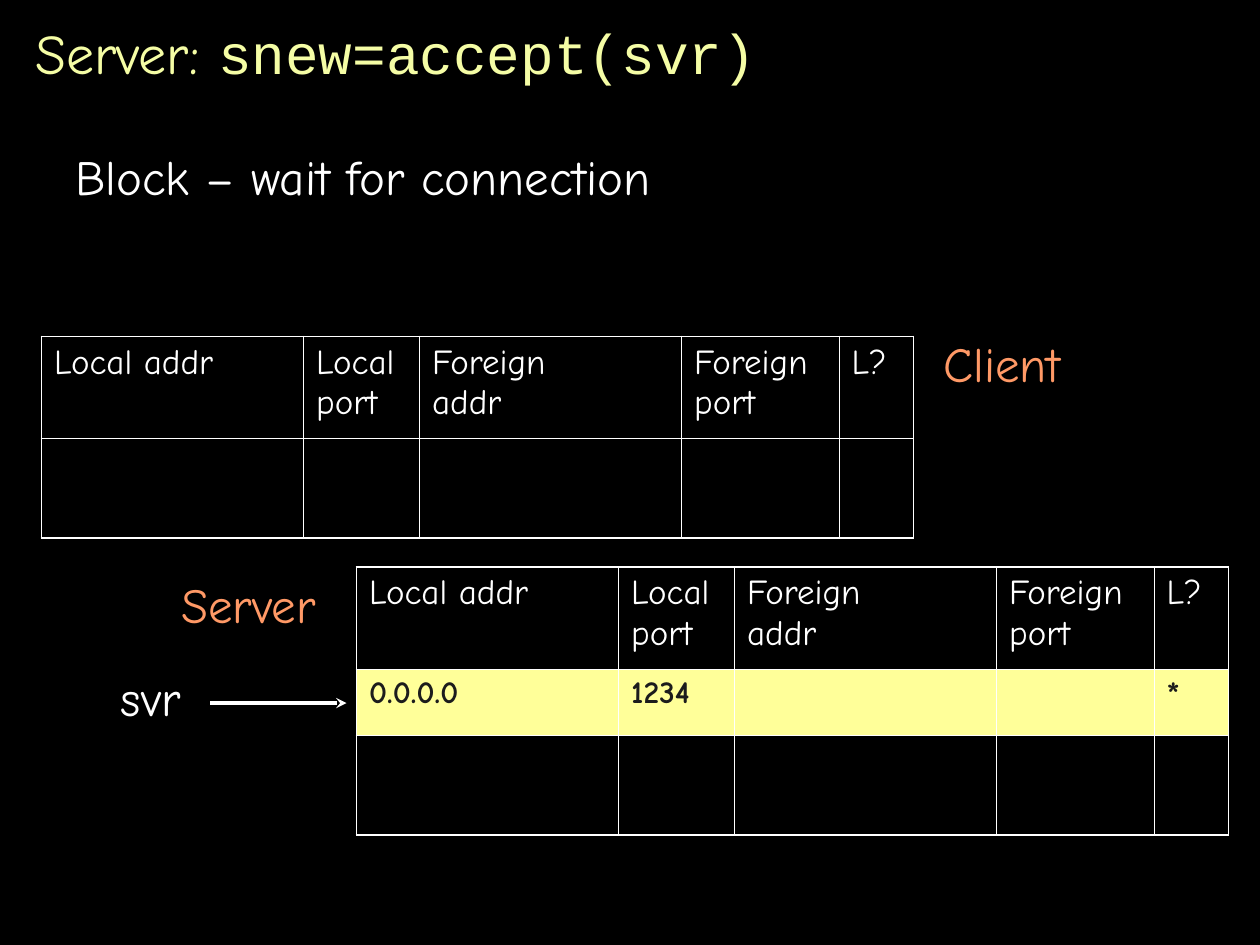
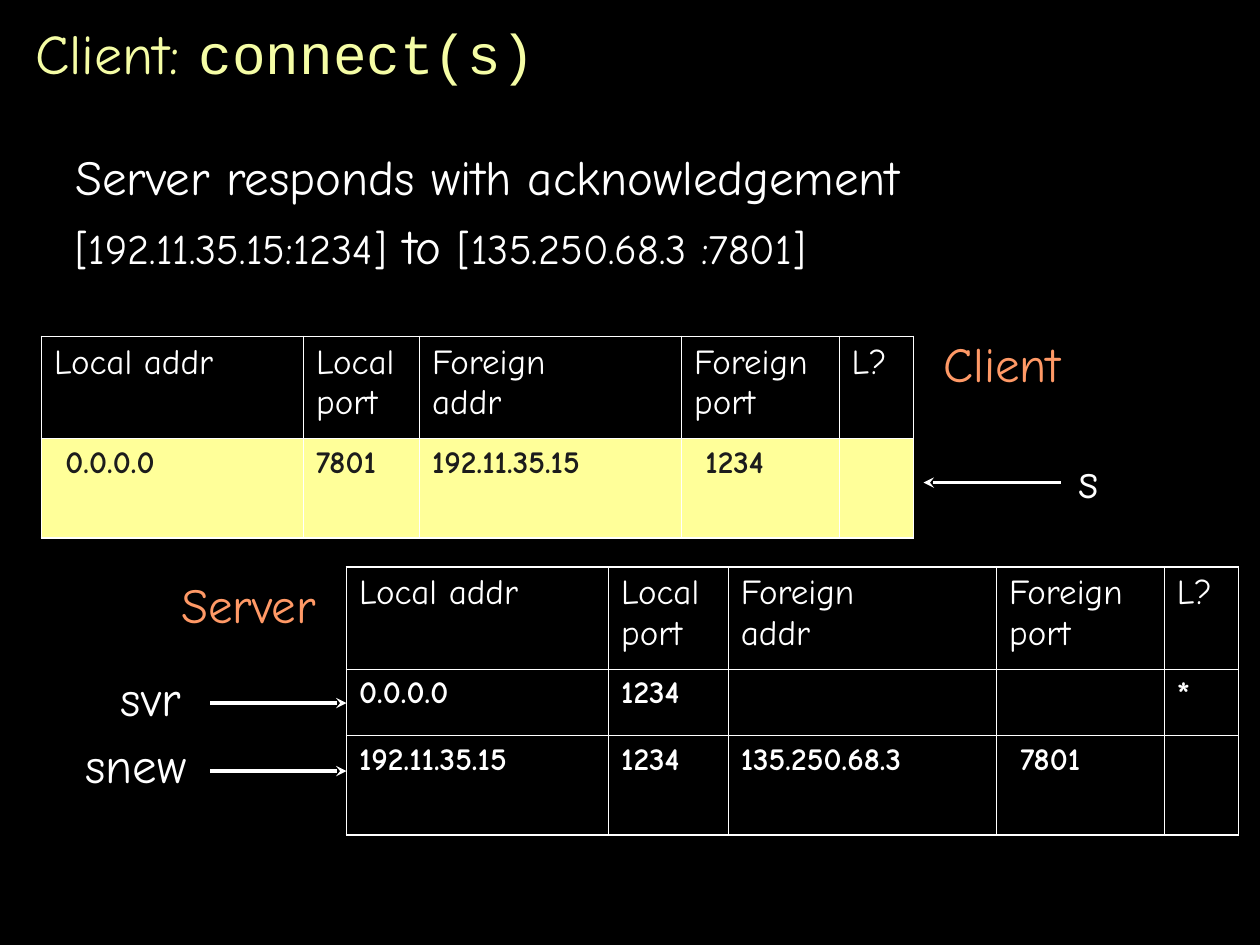
import dataclasses

import pptx
import pptx.dml.color
import pptx.enum.shapes
import pptx.enum.text
import pptx.oxml
import pptx.oxml.ns
import pptx.util
from pptx.util import Inches

TITLE_ONLY = 5


@dataclasses.dataclass(frozen=True)
class Theme:
    background: str = "000000"
    text: str = "FFFFFF"
    title: str = "F5FDA5"
    host: str = "FF9966"
    highlight: str = "FFFF99"
    dark_text: str = "1C1C1C"
    font: str = "Comic Neue"
    code_font: str = "Courier New"
    title_size: int = 32
    body_size: int = 28
    address_size: int = 24
    header_size: int = 20
    value_size: int = 18
    inner_border: float = 0.45
    outer_border: float = 1.08
    arrow_width: float = 2


HEADERS = ["Local addr", "Local\nport", "Foreign\naddr", "Foreign\nport", "L?"]
COLUMNS = [2.08, 0.92, 2.08, 1.25, 0.59]
WIDE_COLUMNS = [2.08, 0.95, 2.13, 1.33, 0.59]
HEADER_HEIGHT, LISTEN_HEIGHT, LAST_HEIGHT = 0.81, 0.53, 0.79
EMPTY_ROW = [""] * len(HEADERS)
LISTENING_ROW = ["0.0.0.0", "1234", "", "", "*"]


def rgb(color):
    return pptx.dml.color.RGBColor.from_string(color)


class SocketDeck:
    """Holds the theme, the presentation and the slide being drawn."""

    def __init__(self, theme):
        self.theme = theme
        self.presentation = pptx.Presentation()
        self.presentation.slide_width = Inches(10)
        self.presentation.slide_height = Inches(7.5)
        background = self.presentation.slide_master.background.fill
        background.solid()
        background.fore_color.rgb = rgb(theme.background)
        self.slide = None

    def add_run(self, paragraph, text, size, color=None, font=None, bold=False):
        for index, line in enumerate(text.split("\n")):
            if index:
                paragraph.add_line_break()
            run = paragraph.add_run()
            run.text = line
            run.font.size = pptx.util.Pt(size)
            run.font.name = font or self.theme.font
            run.font.bold = bold
            run.font.color.rgb = rgb(color or self.theme.text)

    def add_slide(self, side, call):
        """Start a slide whose title names the side and its socket call."""
        theme = self.theme
        layout = self.presentation.slide_layouts[TITLE_ONLY]
        self.slide = self.presentation.slides.add_slide(layout)
        title = self.slide.shapes.title
        title.left, title.top = Inches(0.18), Inches(0.08)
        title.width, title.height = Inches(9.67), Inches(0.67)
        frame = title.text_frame
        frame.auto_size = pptx.enum.text.MSO_AUTO_SIZE.NONE
        frame.vertical_anchor = pptx.enum.text.MSO_ANCHOR.MIDDLE
        paragraph = frame.paragraphs[0]
        paragraph.alignment = pptx.enum.text.PP_ALIGN.LEFT
        self.add_run(paragraph, f"{side}: ", theme.title_size, theme.title)
        self.add_run(paragraph, call, theme.title_size, theme.title, theme.code_font)

    def add_body(self, paragraphs):
        """Each paragraph is a list of (text, size) runs."""
        box = self.slide.shapes.add_textbox(
            Inches(0.5), Inches(1.11), Inches(9), Inches(1.5))
        frame = box.text_frame
        frame.word_wrap = True
        for index, runs in enumerate(paragraphs):
            paragraph = frame.add_paragraph() if index else frame.paragraphs[0]
            if index:
                paragraph.space_before = pptx.util.Pt(6)
            for text, size in runs:
                self.add_run(paragraph, text, size)

    def add_label(self, text, left, top, width, color=None, right=False):
        box = self.slide.shapes.add_textbox(
            Inches(left), Inches(top), Inches(width), Inches(0.57))
        frame = box.text_frame
        frame.word_wrap = False
        frame.auto_size = pptx.enum.text.MSO_AUTO_SIZE.SHAPE_TO_FIT_TEXT
        paragraph = frame.paragraphs[0]
        if right:
            paragraph.alignment = pptx.enum.text.PP_ALIGN.RIGHT
        self.add_run(paragraph, text, self.theme.body_size, color)

    def add_arrow(self, start, end, y):
        arrow = self.slide.shapes.add_connector(
            pptx.enum.shapes.MSO_CONNECTOR.STRAIGHT,
            Inches(start), Inches(y), Inches(end), Inches(y))
        arrow.line.color.rgb = rgb(self.theme.text)
        arrow.line.width = pptx.util.Pt(self.theme.arrow_width)
        namespace = pptx.oxml.ns.nsdecls("a")
        line = arrow.line._get_or_add_ln()
        line.append(pptx.oxml.parse_xml(f'<a:tailEnd {namespace} type="stealth"/>'))
        arrow._element.spPr.append(pptx.oxml.parse_xml(f"<a:effectLst {namespace}/>"))

    def add_borders(self, cell, outer_sides):
        properties = cell._tc.get_or_add_tcPr()
        for side in "LRTB":
            points = (self.theme.outer_border if side in outer_sides
                      else self.theme.inner_border)
            properties.append(pptx.oxml.parse_xml(
                f'<a:ln{side} {pptx.oxml.ns.nsdecls("a")} w="{pptx.util.Pt(points)}">'
                f'<a:solidFill><a:srgbClr val="{self.theme.text}"/></a:solidFill>'
                f"</a:ln{side}>"))

    def add_socket_table(self, left, top, columns, heights, rows, highlight=None):
        """Draw the header and socket rows; highlight is a table row index."""
        theme = self.theme
        contents = [HEADERS] + rows
        table = self.slide.shapes.add_table(
            len(contents), len(columns), Inches(left), Inches(top),
            Inches(sum(columns)), Inches(sum(heights))).table
        table.first_row = table.horz_banding = False
        for column, width in zip(table.columns, columns):
            column.width = Inches(width)
        for row, height in zip(table.rows, heights):
            row.height = Inches(height)
        last_row, last_column = len(contents) - 1, len(columns) - 1
        for r, values in enumerate(contents):
            for c, text in enumerate(values):
                cell = table.cell(r, c)
                edges = {"T": r == 0, "B": r == last_row,
                         "L": c == 0, "R": c == last_column}
                self.add_borders(cell, [side for side in edges if edges[side]])
                cell.fill.solid()
                lit = r == highlight
                cell.fill.fore_color.rgb = rgb(
                    theme.highlight if lit else theme.background)
                if text:
                    large = r == 0 or c == last_column
                    self.add_run(cell.text_frame.paragraphs[0], text,
                                 theme.header_size if large else theme.value_size,
                                 theme.dark_text if lit else theme.text, bold=r > 0)

    def add_client_table(self, row, highlight=None):
        self.add_socket_table(0.33, 2.67, COLUMNS, [HEADER_HEIGHT, LAST_HEIGHT],
                              [row], highlight)

    def add_server_table(self, left, columns, last_row, highlight=None):
        self.add_socket_table(left, 4.5, columns,
                              [HEADER_HEIGHT, LISTEN_HEIGHT, LAST_HEIGHT],
                              [LISTENING_ROW, last_row], highlight)

    def add_hosts(self):
        """Name both tables and point to the listening socket."""
        self.add_label("Client", 7.39, 2.6, 1.13, self.theme.host)
        self.add_label("Server", 1.34, 4.51, 1.27, self.theme.host)
        self.add_label("svr", 0.86, 5.25, 0.68)
        self.add_arrow(1.67, 2.75, 5.58)


def main():
    theme = Theme()
    deck = SocketDeck(theme)

    # Server waits in accept
    deck.add_slide("Server", "snew=accept(svr)")
    deck.add_body([[("Block – wait for connection", theme.body_size)]])
    deck.add_server_table(2.83, COLUMNS, EMPTY_ROW, highlight=1)
    deck.add_client_table(EMPTY_ROW)
    deck.add_hosts()

    # Client connects and the server gets a new socket
    deck.add_slide("Client", "connect(s)")
    deck.add_body([
        [("Server responds with acknowledgement", theme.body_size)],
        [("[192.11.35.15:1234]", theme.address_size),
         (" to ", theme.body_size),
         ("[135.250.68.3 :7801]", theme.address_size)],
    ])
    deck.add_server_table(2.75, WIDE_COLUMNS,
                          ["192.11.35.15", "1234", "135.250.68.3", " 7801", ""])
    deck.add_client_table([" 0.0.0.0", "7801", "192.11.35.15", " 1234", ""],
                          highlight=1)
    deck.add_hosts()
    deck.add_arrow(8.42, 7.33, 3.83)
    deck.add_label("s", 8.46, 3.52, 0.36)
    deck.add_label("snew", 0.58, 5.78, 1, right=True)
    deck.add_arrow(1.67, 2.75, 6.12)

    deck.presentation.save("out.pptx")


if __name__ == "__main__":
    main()
